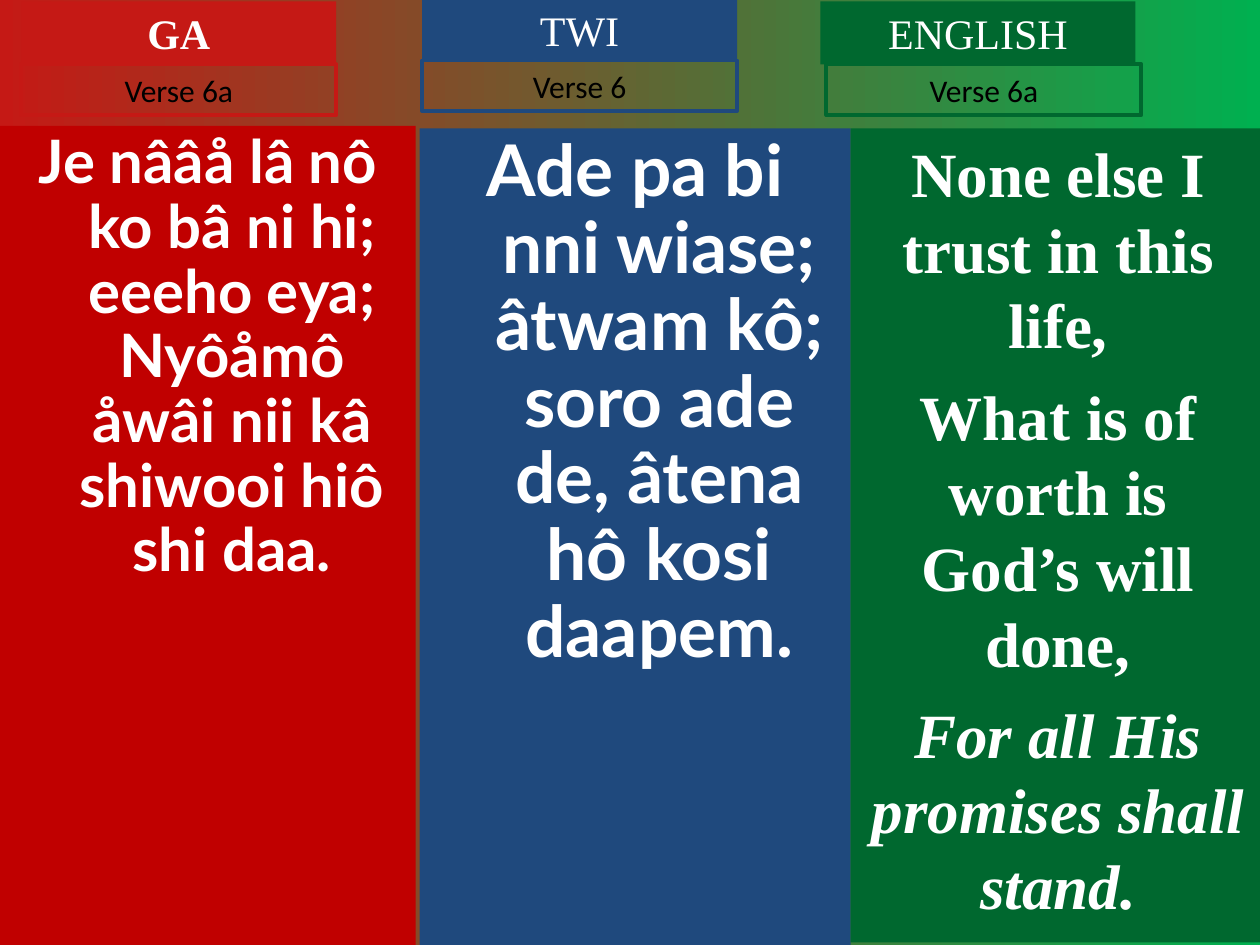
from pptx import Presentation
from pptx.dml.color import RGBColor
from pptx.enum import shapes, text
from pptx.util import Cm, Pt

WHITE, BLACK = "FFFFFF", "000000"
LABEL_WIDTH = 6.35
HANGING_INDENT = 0.97


def color(value):
    return RGBColor.from_string(value)


def add_box(page, left, top, width, height, fill=None, line=None):
    box = page.shapes.add_shape(shapes.MSO_SHAPE.RECTANGLE,
                                Cm(left), Cm(top), Cm(width), Cm(height))
    box.shadow.inherit = False
    if fill:
        box.fill.solid()
        box.fill.fore_color.rgb = color(fill)
    else:
        box.fill.background()
    if line:
        box.line.color.rgb = color(line)
        box.line.width = Pt(2.25)
    else:
        box.line.fill.background()
    box.text_frame.word_wrap = True
    box.text_frame.vertical_anchor = text.MSO_ANCHOR.TOP
    return box


def write(box, content, font, size, ink=WHITE, bold=False):
    box.text_frame.text = content
    for para in box.text_frame.paragraphs:
        para.alignment = text.PP_ALIGN.CENTER
        for span in para.runs:
            span.font.name = font
            span.font.size = Pt(size)
            span.font.bold = bold
            span.font.color.rgb = color(ink)


def add_label(page, left, top, height, content, font, size,
              ink=WHITE, bold=False, fill=None, line=None):
    """Language heading or verse number that grows with its text."""
    box = add_box(page, left, top, LABEL_WIDTH, height, fill, line)
    write(box, content, font, size, ink, bold)
    box.text_frame.auto_size = text.MSO_AUTO_SIZE.SHAPE_TO_FIT_TEXT


def add_hanging_panel(page, area, fill, content, size):
    """Verse panel with a hanging indent and tight lines."""
    box = add_box(page, *area, fill=fill)
    write(box, content, "Lato", size, bold=True)
    para = box.text_frame.paragraphs[0]
    para.line_spacing = 0.9
    properties = para._p.get_or_add_pPr()
    properties.set("marL", str(Cm(HANGING_INDENT)))
    properties.set("indent", str(-Cm(HANGING_INDENT)))


def add_stanza_panel(page, area, fill, lines, size):
    """Verse panel with one paragraph per line, the last in italics."""
    box = add_box(page, *area, fill=fill)
    write(box, "\n".join(lines), "Times New Roman", size, bold=True)
    paras = box.text_frame.paragraphs
    for para in paras[1:]:
        para.space_before = Pt(9)
    paras[-1].runs[0].font.italic = True


def set_background(page, start, end):
    fill = page.background.fill
    fill.gradient()
    fill.gradient_angle = 0
    for stop, position, value in zip(fill.gradient_stops, (0, 1), (start, end)):
        stop.position = position
        stop.color.rgb = color(value)


def main():
    deck = Presentation()
    deck.slide_width, deck.slide_height = Cm(25.4), Cm(19.05)
    page = deck.slides.add_slide(deck.slide_layouts[6])
    set_background(page, "C51915", "00B050")

    # Verse panels
    add_hanging_panel(
        page, (0, 2.54, 8.38, 16.51), "C00000",
        "Je nââå lâ nô ko bâ ni hi; eeeho eya; "
        "Nyôåmô åwâi nii kâ shiwooi hiô shi daa.", 34.2)
    add_hanging_panel(
        page, (8.46, 2.59, 8.69, 16.46), "1F497D",
        "Ade pa bi nni wiase; âtwam kô; soro ade de, "
        "âtena hô kosi daapem.", 40.7)
    add_stanza_panel(
        page, (17.15, 2.59, 8.36, 16.41), "00682F",
        ["None else I trust in this life,",
         "What is of worth is God’s will done,",
         "For all His promises shall stand."], 36)

    # Headings and verse numbers: left, top, verse left, verse top
    labels = [
        ("GA", "Verse 6a", "C51915", True, 0.43, 0.03, 0.43, 1.3),
        ("TWI", "Verse 6", "1F497D", False, 8.51, -0.03, 8.51, 1.22),
        ("ENGLISH", "Verse 6a", "00682F", False, 16.54, 0.03, 16.66, 1.3),
    ]
    for language, verse, tint, bold, left, top, verse_left, verse_top in labels:
        add_label(page, left, top, 1.27, language, "Times New Roman", 24,
                  fill=tint, bold=bold)
        add_label(page, verse_left, verse_top, 1.02, verse, "Calibri", 18,
                  line=tint, ink=BLACK)

    deck.save("out.pptx")


if __name__ == "__main__":
    main()
